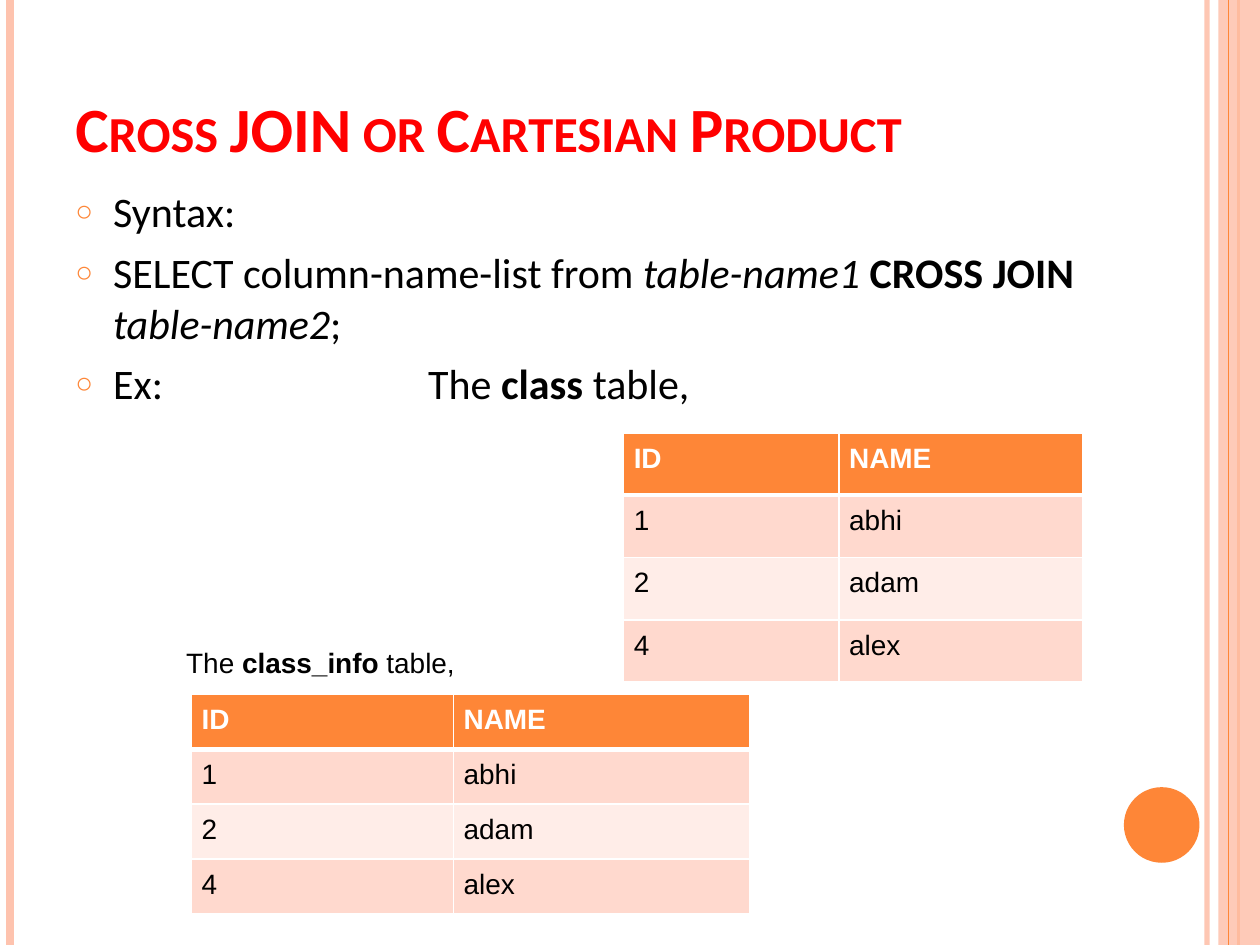
from typing import NamedTuple

from lxml import etree
from pptx import Presentation
from pptx import util as u
from pptx.dml.color import RGBColor
from pptx.enum import shapes, text
from pptx.oxml import ns

WIDTH, HEIGHT = u.Inches(10), u.Inches(7.5)
ORANGE = RGBColor(0xFE, 0x86, 0x37)
PEACH = RGBColor(0xFE, 0xC3, 0xAE)
BAND_DARK = RGBColor(0xFF, 0xD9, 0xCE)
BAND_LIGHT = RGBColor(0xFF, 0xED, 0xE8)
RED = RGBColor(0xFF, 0, 0)
BLACK = RGBColor(0, 0, 0)
WHITE = RGBColor(0xFF, 0xFF, 0xFF)


class Box(NamedTuple):
    """Left, top, width and height as shares of the slide's size."""
    left: float
    top: float
    width: float
    height: float

    def emu(self) -> tuple:
        return (int(self.left * WIDTH), int(self.top * HEIGHT),
                int(self.width * WIDTH), int(self.height * HEIGHT))


class Stripe(NamedTuple):
    x: float
    color: RGBColor
    points: float
    opacity: int = 100


class Run(NamedTuple):
    words: str
    bold: bool = False
    italic: bool = False


class Sample(NamedTuple):
    left: float
    top: float
    columns: tuple
    row_height: float


STRIPES_BEHIND = [Stripe(0.958, PEACH, 3, 93), Stripe(0.008, PEACH, 4.5),
                  Stripe(0.983, ORANGE, 1.5)]
STRIPE_FRONT = Stripe(0.975, ORANGE, 0.75)
BODY = [
    [Run("Syntax:")],
    [Run("SELECT column-name-list from "), Run("table-name1 ", italic=True),
     Run("CROSS JOIN ", bold=True), Run("table-name2", italic=True), Run(";")],
    [Run("Ex:\tThe\u00a0"), Run("class", bold=True), Run("\u00a0table,")],
]
CAPTION = [Run("The\u00a0"), Run("class_info", bold=True), Run("\u00a0table,")]
ROWS = [("ID", "NAME"), ("1", "abhi"), ("2", "adam"), ("4", "alex")]
SAMPLES = [Sample(0.495, 0.458, (0.171, 0.193), 0.066),
           Sample(0.152, 0.735, (0.208, 0.235), 0.058)]


def add_xml(parent, tag: str, **attributes):
    return etree.SubElement(parent, ns.qn(tag), attributes)


def set_opacity(fill_parent, percent: int) -> None:
    color = fill_parent.find(".//" + ns.qn("a:srgbClr"))
    add_xml(color, "a:alpha", val=str(percent * 1000))


def draw_stripe(slide, stripe: Stripe) -> None:
    x = int(stripe.x * WIDTH)
    line = slide.shapes.add_connector(shapes.MSO_CONNECTOR.STRAIGHT, x, 0, x, HEIGHT)
    line.line.color.rgb = stripe.color
    line.line.width = u.Pt(stripe.points)
    if stripe.opacity < 100:
        set_opacity(line.line._ln, stripe.opacity)
    add_xml(line._element.spPr, "a:effectLst")


def draw_shape(slide, kind, box: Box, color: RGBColor):
    shape = slide.shapes.add_shape(kind, *box.emu())
    shape.shadow.inherit = False
    shape.fill.solid()
    shape.fill.fore_color.rgb = color
    shape.line.fill.background()
    return shape


def set_font(paragraph, name: str, points: float, color: RGBColor, bold=None) -> None:
    font = paragraph.font
    font.name, font.size, font.bold = name, u.Pt(points), bold
    font.color.rgb = color


def add_runs(paragraph, runs: list) -> None:
    for part in runs:
        run = paragraph.add_run()
        run.text = part.words
        run.font.bold = part.bold
        run.font.italic = part.italic


def add_frame(slide, box: Box):
    frame = slide.shapes.add_textbox(*box.emu()).text_frame
    frame.word_wrap = True
    return frame


def set_bullet(paragraph, tab: float) -> None:
    """Hang the paragraph on an orange ring and give it one tab stop."""
    paragraph.space_before = u.Pt(6)
    properties = paragraph._p.get_or_add_pPr()
    indent = u.Inches(0.3)
    properties.set("marL", str(indent))
    properties.set("indent", str(-indent))
    default_font = properties.find(ns.qn("a:defRPr"))
    bullet_color = add_xml(properties, "a:buClr")
    add_xml(bullet_color, "a:srgbClr", val=str(ORANGE))
    add_xml(properties, "a:buSzPct", val="70000")
    add_xml(properties, "a:buFont", typeface="Arial")
    add_xml(properties, "a:buChar", char="○")
    tabs = add_xml(properties, "a:tabLst")
    add_xml(tabs, "a:tab", pos=str(u.Inches(tab)), algn="l")
    if default_font is not None:
        properties.append(default_font)


def draw_title(slide) -> None:
    frame = add_frame(slide, Box(0.05, 0.04, 0.817, 0.141))
    frame.vertical_anchor = text.MSO_ANCHOR.BOTTOM
    title = frame.paragraphs[0]
    add_runs(title, [Run("Cross JOIN or Cartesian Product", bold=True)])
    set_font(title, "Calibri", 36, RED, True)
    title.runs[0].font._element.set("cap", "small")


def draw_body(slide) -> None:
    frame = add_frame(slide, Box(0.05, 0.19, 0.858, 0.777))
    for index, runs in enumerate(BODY):
        paragraph = frame.add_paragraph() if index else frame.paragraphs[0]
        add_runs(paragraph, runs)
        set_font(paragraph, "Calibri", 24, BLACK)
        set_bullet(paragraph, 2.8)


def draw_caption(slide) -> None:
    caption = add_frame(slide, Box(0.138, 0.677, 0.257, 0.049)).paragraphs[0]
    add_runs(caption, CAPTION)
    set_font(caption, "Arial", 16, BLACK)


def set_borders(cell, bottoms: dict) -> None:
    """Draw white cell borders, one point wide unless given in bottoms."""
    properties = cell._tc.get_or_add_tcPr()
    for index, side in enumerate(("lnL", "lnR", "lnT", "lnB")):
        border = etree.Element(ns.qn("a:" + side), w=str(u.Pt(bottoms.get(side, 1))))
        add_xml(add_xml(border, "a:solidFill"), "a:srgbClr", val=str(WHITE))
        properties.insert(index, border)


def draw_sample(slide, sample: Sample) -> None:
    box = Box(sample.left, sample.top, sum(sample.columns), sample.row_height * len(ROWS))
    table = slide.shapes.add_table(len(ROWS), len(sample.columns), *box.emu()).table
    for column, share in zip(table.columns, sample.columns):
        column.width = int(share * WIDTH)
    for r, values in enumerate(ROWS):
        header = r == 0
        table.rows[r].height = int(sample.row_height * HEIGHT)
        for c, value in enumerate(values):
            cell = table.cell(r, c)
            cell.text = value
            cell.margin_left = cell.margin_right = u.Inches(0.08)
            cell.margin_top = cell.margin_bottom = u.Inches(0.08)
            set_font(cell.text_frame.paragraphs[0], "Arial", 16,
                     WHITE if header else BLACK, header)
            cell.fill.solid()
            cell.fill.fore_color.rgb = (
                ORANGE if header else BAND_DARK if r % 2 else BAND_LIGHT)
            set_borders(cell, {"lnB": 3} if header else {"lnT": 3} if r == 1 else {})


def main() -> None:
    deck = Presentation()
    deck.slide_width, deck.slide_height = WIDTH, HEIGHT
    slide = deck.slides.add_slide(deck.slide_layouts[6])
    for stripe in STRIPES_BEHIND:
        draw_stripe(slide, stripe)
    band = draw_shape(slide, shapes.MSO_SHAPE.RECTANGLE, Box(0.967, 0, 0.033, 1), PEACH)
    set_opacity(band._element.spPr, 87)
    draw_stripe(slide, STRIPE_FRONT)
    draw_shape(slide, shapes.MSO_SHAPE.OVAL, Box(0.892, 0.833, 0.06, 0.08), ORANGE)
    draw_title(slide)
    draw_body(slide)
    draw_caption(slide)
    for sample in SAMPLES:
        draw_sample(slide, sample)
    deck.save("out.pptx")


if __name__ == "__main__":
    main()
